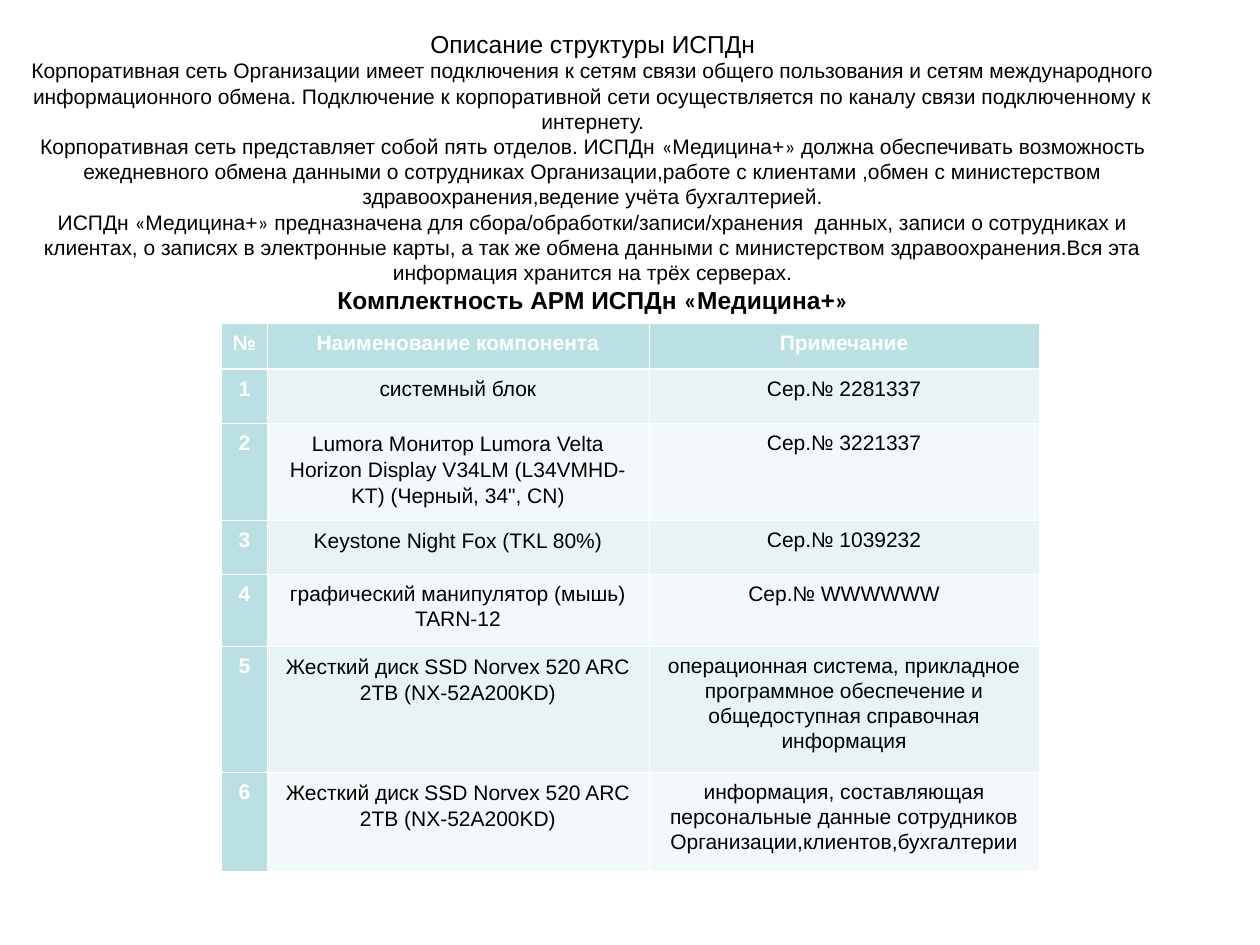
"""Builds the slide on the structure of the information system and its workstation parts."""
from lxml import etree
from pptx import Presentation
from pptx.dml.color import RGBColor
from pptx.enum.shapes import MSO_SHAPE
from pptx.enum.text import MSO_ANCHOR, PP_ALIGN
from pptx.oxml.ns import qn
from pptx.util import Inches, Pt

RECT = MSO_SHAPE.RECTANGLE
MIDDLE = MSO_ANCHOR.MIDDLE
CENTER = PP_ALIGN.CENTER

WHITE = RGBColor(0xFF, 0xFF, 0xFF)
BLACK = RGBColor(0x00, 0x00, 0x00)
TEAL = RGBColor(0xBB, 0xE0, 0xE3)
BANDS = [RGBColor(0xF3, 0xF9, 0xFA), RGBColor(0xE7, 0xF3, 0xF4)]

INTRO = [
    ("Описание структуры ИСПДн", 14, False),
    ("Корпоративная сеть Организации имеет подключения к сетям связи общего "
     "пользования и сетям международного информационного обмена. Подключение к "
     "корпоративной сети осуществляется по каналу связи подключенному к интернету.", 12, False),
    ("Корпоративная сеть представляет собой пять отделов. ИСПДн «Медицина+» должна "
     "обеспечивать возможность ежедневного обмена данными о сотрудниках "
     "Организации,работе с клиентами ,обмен с министерством "
     "здравоохранения,ведение учёта бухгалтерией.", 12, False),
    ("ИСПДн «Медицина+» предназначена для сбора/обработки/записи/хранения  данных, "
     "записи о сотрудниках и клиентах, о записях в электронные карты, а так же обмена "
     "данными с министерством здравоохранения.Вся эта информация хранится на трёх "
     "серверах.", 12, False),
    ("Комплектность АРМ ИСПДн «Медицина+»", 14, True),
]
DISK = "Жесткий диск SSD Norvex 520 ARC 2TB (NX-52A200KD)"
PARTS = [
    ("№", "Наименование компонента", "Примечание"),
    ("1", "системный блок", "Сер.№ 2281337"),
    ("2", "Lumora Монитор Lumora Velta Horizon Display V34LM (L34VMHD-KT) (Черный, 34\", CN)",
     "Сер.№ 3221337"),
    ("3", "Keystone Night Fox (TKL 80%)", "Сер.№ 1039232"),
    ("4", "графический манипулятор (мышь) TARN-12", "Сер.№ WWWWWW"),
    ("5", DISK, "операционная система, прикладное программное обеспечение и "
     "общедоступная справочная информация"),
    ("6", DISK, "информация, составляющая персональные данные сотрудников "
     "Организации,клиентов,бухгалтерии"),
]
COL_SPANS = [3.6, 30.3, 31]
ROW_SPANS = [3.6, 4.3, 7.7, 4.3, 5.7, 10, 7.9]


def apply(obj, values):
    for name, value in values.items():
        setattr(obj, name, value)


def add_run(p, text, font, size, bold, color):
    r = p.add_run()
    r.text = text
    apply(r.font, {"name": font, "size": Pt(size), "bold": bold})
    r.font.color.rgb = color


prs = Presentation()
apply(prs, {"slide_width": Inches(10), "slide_height": Inches(7.5)})
COL = prs.slide_width // 100
ROW = prs.slide_height // 75
s = prs.slides.add_slide(prs.slide_layouts[6])

sp = s.shapes.add_shape(RECT, 0, int(0.5 * ROW), int(94.1 * COL), int(26.7 * ROW))
sp.shadow.inherit = False
sp.fill.solid()
sp.fill.fore_color.rgb = WHITE
sp.line.fill.background()
tf = sp.text_frame
apply(tf, {"word_wrap": True, "vertical_anchor": MIDDLE, "margin_left": COL, "margin_right": COL,
           "margin_top": int(1.7 * ROW), "margin_bottom": int(2.2 * ROW)})
for i, (text, size, bold) in enumerate(INTRO):
    p = tf.add_paragraph() if i else tf.paragraphs[0]
    p.alignment = CENTER
    for piece in text.replace("«", "|«|").replace("»", "|»|").split("|"):
        if piece:
            add_run(p, piece, "Calibri" if piece in "«»" else "Arial", size, bold, BLACK)

table = s.shapes.add_table(len(PARTS), len(COL_SPANS), int(17.6 * COL), int(25.7 * ROW),
                           int(sum(COL_SPANS) * COL), int(sum(ROW_SPANS) * ROW)).table
for column, span in zip(table.columns, COL_SPANS):
    column.width = int(span * COL)
for row, span in zip(table.rows, ROW_SPANS):
    row.height = int(span * ROW)

for i, texts in enumerate(PARTS):
    for j, text in enumerate(texts):
        heading = i == 0 or j == 0
        cell = table.cell(i, j)
        apply(cell, {"margin_left": int(0.7 * COL), "margin_right": int(0.7 * COL),
                     "margin_top": ROW // 2, "margin_bottom": ROW // 2})
        thick = {"a:lnB": i == 0, "a:lnT": i == 1}
        for side in ("a:lnL", "a:lnR", "a:lnT", "a:lnB"):
            width = Pt(1.47 if thick.get(side) else 0.45)
            ln = etree.SubElement(cell._tc.get_or_add_tcPr(), qn(side), w=str(width))
            fill = etree.SubElement(ln, qn("a:solidFill"))
            etree.SubElement(fill, qn("a:srgbClr"), val=str(WHITE))
        cell.fill.solid()
        cell.fill.fore_color.rgb = TEAL if heading else BANDS[i % 2]
        p = cell.text_frame.paragraphs[0]
        exact = j == 1 and i in (2, 3, 5, 6)
        apply(p, {"alignment": CENTER, "line_spacing": Pt(15) if exact else 1.07})
        add_run(p, text, "Arial", 12, heading, WHITE if heading else BLACK)

prs.save("out.pptx")
